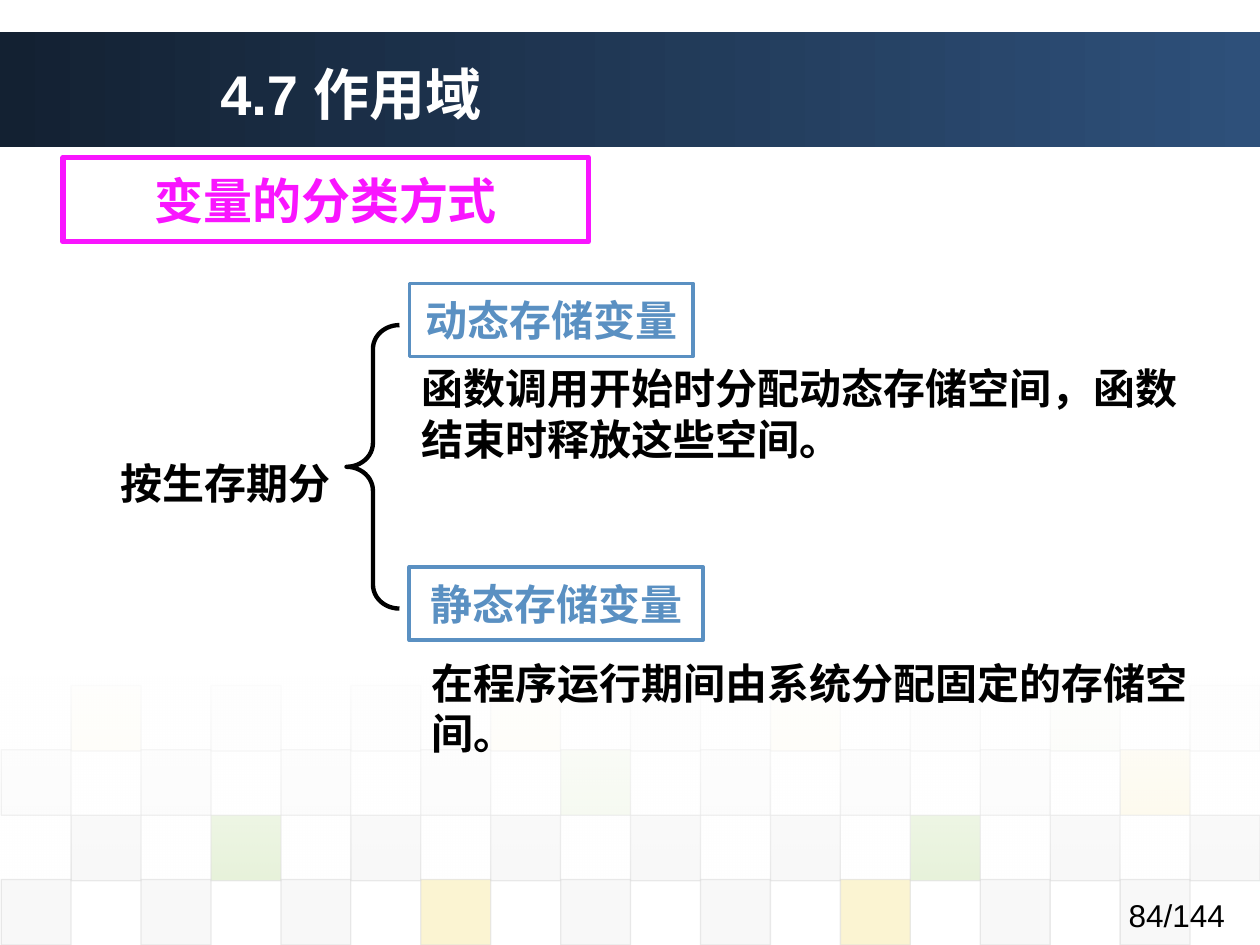
"""Build the slide on classifying variables by storage duration."""
import lxml.etree
import pptx
import pptx.dml.color
import pptx.enum.lang
import pptx.enum.shapes
import pptx.enum.text
import pptx.oxml.ns
import pptx.util

Inches = pptx.util.Inches
SHAPES = pptx.enum.shapes.MSO_SHAPE
ALIGN = pptx.enum.text.PP_ALIGN
ANCHOR = pptx.enum.text.MSO_ANCHOR

COLOURS = {
    "navy": "132132",
    "blue": "2E507A",
    "white": "FFFFFF",
    "black": "000000",
    "magenta": "F915FF",
    "sky": "5A90C2",
    "grey": "DDDDDD",
    "pale": "EAEAEA",
    "green": "8AC246",
    "yellow": "EFC821",
}
TILE_PITCH = 0.555
TILE_HEIGHT = 0.52
TILE_ROWS = [
    (5.44, 1, 5, "pale", {1: "yellow", 7: "yellow", 9: "grey", 11: "yellow", 15: "green"}),
    (5.95, 0, 10, "grey", {8: "green", 16: "yellow"}),
    (6.47, 1, 20, "grey", {3: "green", 13: "green"}),
    (6.98, 0, 20, "grey", {6: "yellow", 12: "yellow"}),
]


def colour(name):
    return pptx.dml.color.RGBColor.from_string(COLOURS[name])


def set_opacity(shape, *percents):
    tag = pptx.oxml.ns.qn("a:srgbClr")
    for element, percent in zip(list(shape.element.spPr.iter(tag)), percents):
        alpha = lxml.etree.SubElement(element, pptx.oxml.ns.qn("a:alpha"))
        alpha.set("val", str(percent * 1000))


def add_preset(page, kind, place, fill=None, line=None, width=0.75):
    shape = page.shapes.add_shape(kind, *map(Inches, place))
    shape.shadow.inherit = False
    if fill:
        shape.fill.solid()
        shape.fill.fore_color.rgb = colour(fill)
    else:
        shape.fill.background()
    if line:
        shape.line.color.rgb = colour(line)
        shape.line.width = pptx.util.Pt(width)
    else:
        shape.line.fill.background()
    return shape


def add_gradient(page, place, start, end, angle):
    band = add_preset(page, SHAPES.RECTANGLE, place)
    band.fill.gradient()
    band.fill.gradient_angle = angle
    for stop, name in zip(band.fill.gradient_stops, (start, end)):
        stop.color.rgb = colour(name)
    return band


def add_tiles(page):
    for top, first, opacity, base, accents in TILE_ROWS:
        for column in range(first, 18, 2):
            place = (0.01 + column * TILE_PITCH, top, TILE_PITCH, TILE_HEIGHT)
            tile = add_preset(page, SHAPES.RECTANGLE, place,
                              accents.get(column, base), "grey")
            set_opacity(tile, opacity, 60)


def write(box, text, size=24, name="black", bold=True, align=ALIGN.LEFT,
          anchor=ANCHOR.TOP, wrap=True):
    frame = box.text_frame
    frame.word_wrap = wrap
    frame.vertical_anchor = anchor
    para = frame.paragraphs[0]
    para.alignment = align
    span = para.add_run()
    span.text = text
    span.font.name = "Arial"
    span.font.size = pptx.util.Pt(size)
    span.font.bold = bold
    span.font.color.rgb = colour(name)
    span.font.language_id = pptx.enum.lang.MSO_LANGUAGE_ID.SIMPLIFIED_CHINESE


def add_text(page, place, text, **style):
    write(page.shapes.add_textbox(*map(Inches, place)), text, **style)


def add_frame(page, place, text, name, width, size=24):
    box = add_preset(page, SHAPES.RECTANGLE, place, line=name, width=width)
    write(box, text, size=size, name=name, align=ALIGN.CENTER,
          anchor=ANCHOR.MIDDLE, wrap=False)


def add_brace(page, place):
    brace = add_preset(page, SHAPES.LEFT_BRACE, place, line="black", width=2.5)
    brace.adjustments[0] = 0.45
    brace.adjustments[1] = 0.5


def main():
    deck = pptx.Presentation()
    deck.slide_width, deck.slide_height = Inches(10), Inches(7.5)
    page = deck.slides.add_slide(deck.slide_layouts[6])

    add_gradient(page, (0, 0.25, 10, 0.92), "navy", "blue", 0)
    add_tiles(page)
    fade = add_gradient(page, (0, 5.37, 10, 1.62), "white", "white", 270)
    set_opacity(fade, 90, 0)
    add_text(page, (8.86, 7.06, 1.1, 0.4), "84/144", size=18, bold=False)

    add_text(page, (1.65, 0.28, 7.96, 0.92), "4.7 作用域", size=32,
             name="white", anchor=ANCHOR.MIDDLE)
    add_frame(page, (0.5, 1.25, 4.17, 0.67), "变量的分类方式", "magenta", 3, size=28)
    add_text(page, (0.75, 3.58, 2.08, 0.5), "按生存期分", align=ALIGN.CENTER)
    add_brace(page, (2.75, 2.58, 0.42, 2.25))
    add_text(page, (3.25, 2.83, 6.42, 0.9),
             "函数调用开始时分配动态存储空间，函数结束时释放这些空间。")
    add_frame(page, (3.25, 2.25, 2.25, 0.58), "动态存储变量", "sky", 2.25)
    add_frame(page, (3.25, 4.5, 2.33, 0.58), "静态存储变量", "sky", 2.25)
    add_text(page, (3.33, 5.17, 6.33, 0.9),
             "在程序运行期间由系统分配固定的存储空间。")
    deck.save("out.pptx")


if __name__ == "__main__":
    main()
